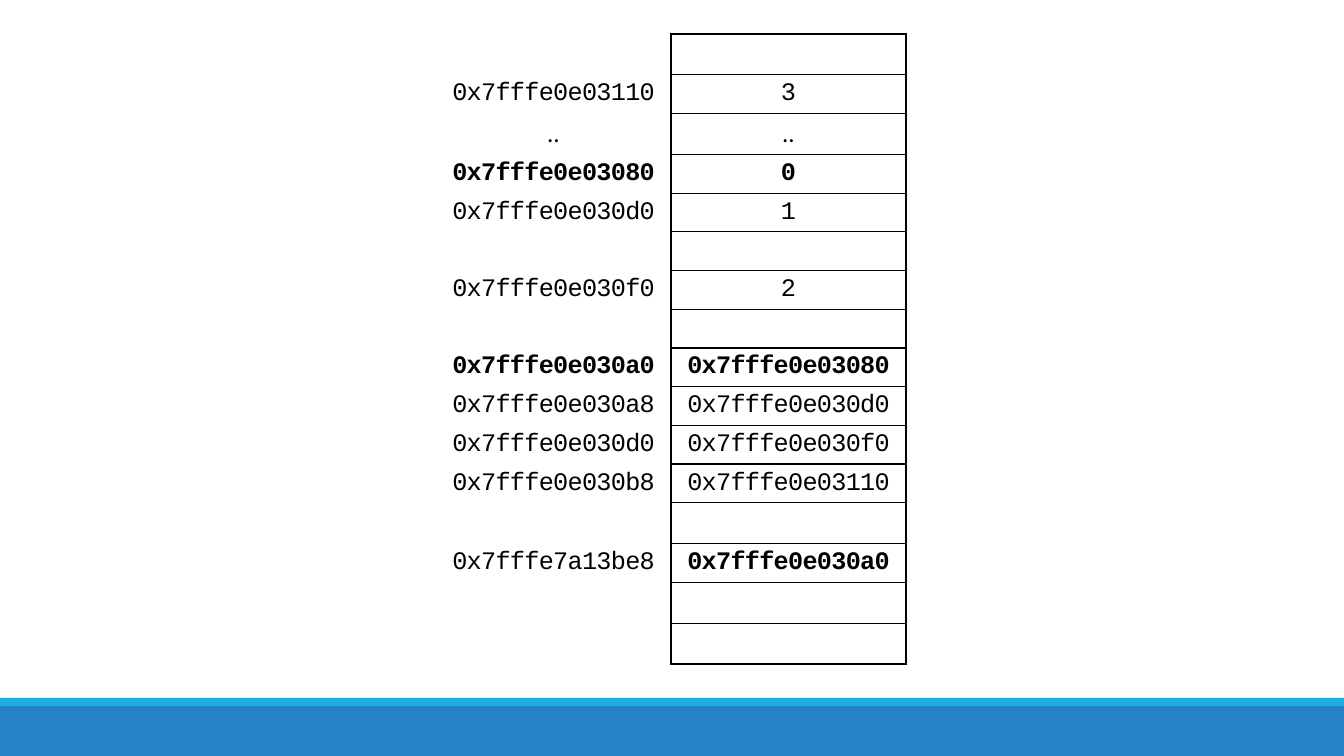
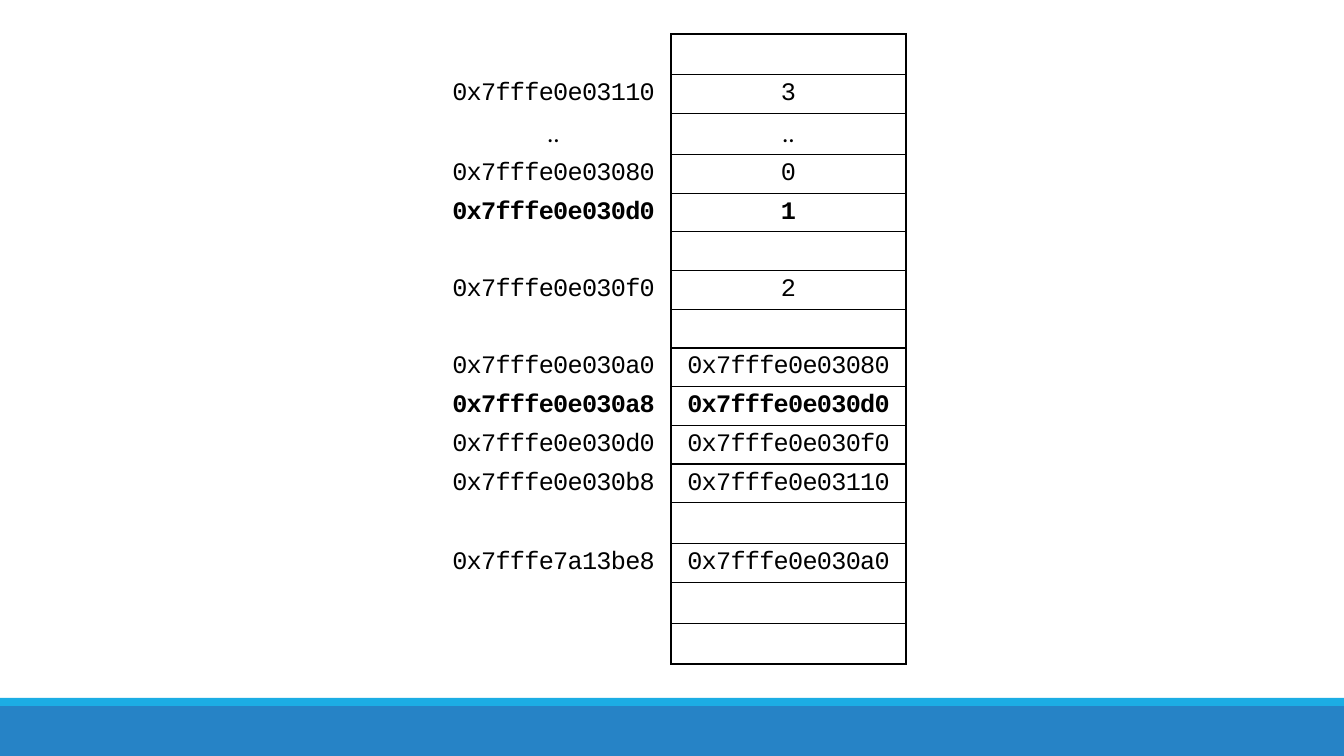
from lxml.etree import SubElement
from pptx import Presentation
from pptx.dml.color import RGBColor
from pptx.enum.shapes import MSO_SHAPE
from pptx.enum.text import PP_ALIGN
from pptx.oxml.ns import qn
from pptx.util import Pt

SCALE = 914400 / 100.8
WIDTH, HEIGHT = 1344, 756
BLACK, WHITE, BLUE, CYAN = "000000", "FFFFFF", "2683C6", "1CADE4"
MONO, SANS = "Courier New", "Calibri"
ROW_HEIGHTS = {MONO: 38, SANS: 40}
COLUMN_WIDTH = 235

MEMORY = [
    ("", "", SANS),
    ("0x7fffe0e03110", "3", MONO),
    ("..", "..", SANS),
    ("0x7fffe0e03080", "0", MONO),
    ("0x7fffe0e030d0", "1", MONO),
    ("", "", MONO),
    ("0x7fffe0e030f0", "2", MONO),
    ("", "", MONO),
    ("0x7fffe0e030a0", "0x7fffe0e03080", MONO),
    ("0x7fffe0e030a8", "0x7fffe0e030d0", MONO),
    ("0x7fffe0e030d0", "0x7fffe0e030f0", MONO),
    ("0x7fffe0e030b8", "0x7fffe0e03110", MONO),
    ("", "", SANS),
    ("0x7fffe7a13be8", "0x7fffe0e030a0", MONO),
    ("", "", SANS),
    ("", "", SANS),
]
ADDRESS, VALUE = 0, 1
HIGHLIGHTS = [
    {(3, ADDRESS), (3, VALUE), (8, ADDRESS), (8, VALUE), (13, VALUE)},
    {(4, ADDRESS), (4, VALUE), (9, ADDRESS), (9, VALUE)},
]


def px(length):
    return round(length * SCALE)


def color(code):
    return RGBColor.from_string(code)


def write(frame, text, font=MONO, size=18, bold=False, ink=BLACK, spacing=0):
    paragraph = frame.paragraphs[0]
    paragraph.alignment = PP_ALIGN.CENTER
    if not text:
        end = SubElement(paragraph._p, qn("a:endParaRPr"), sz=str(size * 100))
        SubElement(end, qn("a:latin"), typeface=font)
        return
    run = paragraph.add_run()
    run.text = text
    run.font.name = font
    run.font.size = Pt(size)
    run.font.bold = bold
    run.font.color.rgb = color(ink)
    run._r.get_or_add_rPr().set("spc", str(round(spacing * 100)))


def outline(cell, sides):
    properties = cell._tc.get_or_add_tcPr()
    for position, side in enumerate("LRTB"):
        line = SubElement(properties, qn(f"a:ln{side}"), w=str(Pt(1)))
        if side in sides:
            fill = SubElement(line, qn("a:solidFill"))
            SubElement(fill, qn("a:srgbClr"), val=BLACK)
        else:
            SubElement(line, qn("a:noFill"))
        properties.insert(position, line)


class Deck:
    def __init__(self):
        self.presentation = Presentation()
        self.presentation.slide_width = px(WIDTH)
        self.presentation.slide_height = px(HEIGHT)
        self.slide = None

    def new_slide(self):
        layout = self.presentation.slide_layouts[6]
        self.slide = self.presentation.slides.add_slide(layout)
        self.band(706, 50, BLUE)
        self.band(698, 8, CYAN)

    def band(self, top, height, fill):
        band = self.slide.shapes.add_shape(
            MSO_SHAPE.RECTANGLE, 0, px(top), px(WIDTH), px(height))
        band.shadow.inherit = False
        band.fill.solid()
        band.fill.fore_color.rgb = color(fill)
        band.line.fill.background()

    def memory_table(self, left, top, rows, highlights):
        heights = [ROW_HEIGHTS[font] for *_, font in rows]
        table = self.slide.shapes.add_table(
            len(rows), 2, px(left), px(top),
            px(2 * COLUMN_WIDTH), px(sum(heights))).table
        table.first_row = table.horz_banding = False
        for column in table.columns:
            column.width = px(COLUMN_WIDTH)
        for index, (address, value, font) in enumerate(rows):
            table.rows[index].height = px(heights[index])
            for part, text in enumerate((address, value)):
                cell = table.cell(index, part)
                cell.fill.solid()
                cell.fill.fore_color.rgb = color(WHITE)
                outline(cell, "LRTB" if part == VALUE else "R")
                write(cell.text_frame, text, font=font,
                      bold=(index, part) in highlights,
                      spacing=-0.5 if text.startswith("0x") else 0)


deck = Deck()
for highlights in HIGHLIGHTS:
    deck.new_slide()
    deck.memory_table(436, 34, MEMORY, highlights)
deck.presentation.save("out.pptx")
